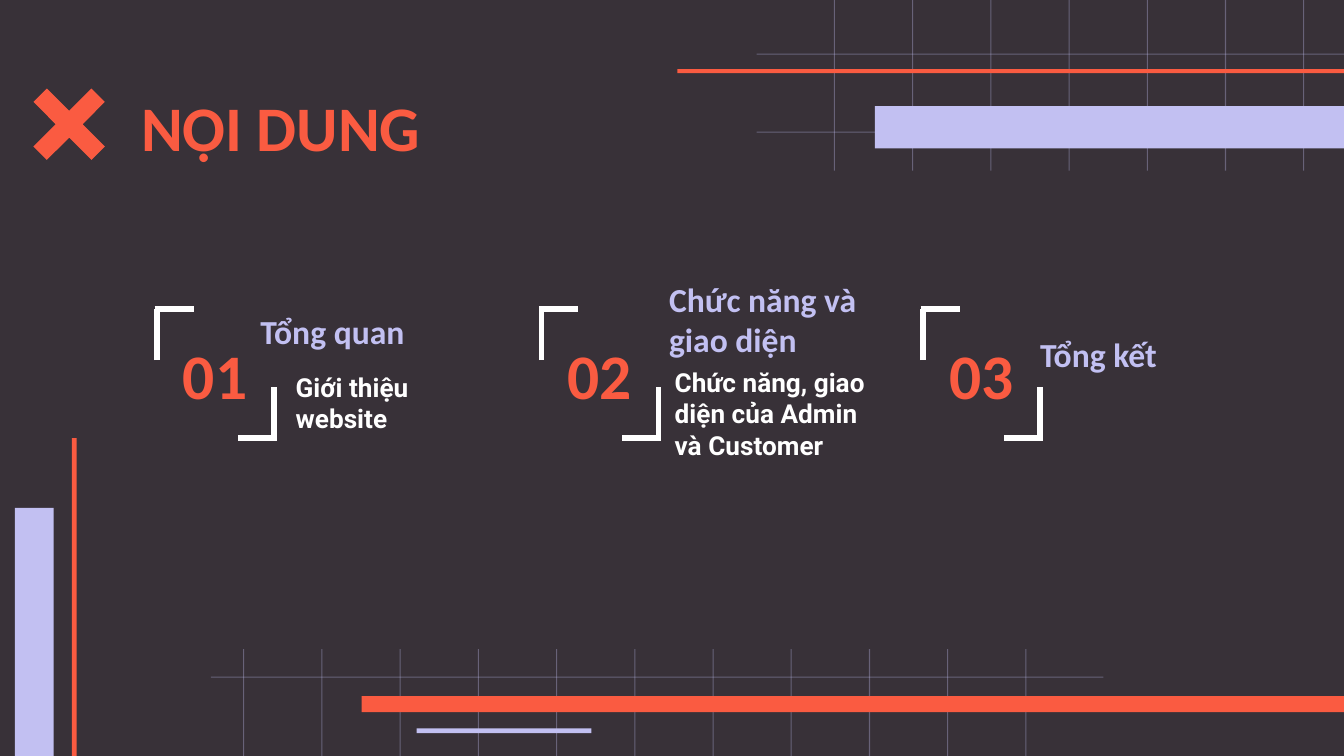
from lxml import etree
from pptx import Presentation
from pptx.dml.color import RGBColor
from pptx.enum.shapes import MSO_CONNECTOR, MSO_SHAPE
from pptx.enum.text import MSO_ANCHOR, MSO_AUTO_SIZE, PP_ALIGN
from pptx.oxml.ns import qn
from pptx.util import Inches, Pt

RECT = MSO_SHAPE.RECTANGLE
CROSS = MSO_SHAPE.MATH_MULTIPLY
STRAIGHT = MSO_CONNECTOR.STRAIGHT
MIDDLE = MSO_ANCHOR.MIDDLE
FIXED = MSO_AUTO_SIZE.NONE
LEFT, CENTER = PP_ALIGN.LEFT, PP_ALIGN.CENTER

DARK = RGBColor(0x38, 0x31, 0x38)
CORAL = RGBColor(0xFA, 0x5B, 0x41)
LILAC = RGBColor(0xC2, 0xC0, 0xF2)
WHITE = RGBColor(0xFF, 0xFF, 0xFF)

CELL = Inches(0.1)
COLS, ROWS = 100, 56.25
STEP = 5.82
HAIR = 0.08

BARS = [
    (26.9, 51.8, 73.1, 1.2, CORAL),
    (1.1, 37.8, 2.9, 18.45, LILAC),
    (5.35, 32.6, 0.35, 23.65, CORAL),
    (31, 54.2, 13, 0.35, LILAC),
    (65.1, 7.9, 34.9, 3.15, LILAC),
    (50.4, 5.15, 49.6, 0.3, CORAL),
]
TOPICS = [
    ("01", 11.7, "Tổng quan", 18.4, 22.5),
    ("02", 40.3, "Chức năng và giao diện", 48.8, 21.6),
    ("03", 68.7, "Tổng kết", 76.4, 24.2),
]
NOTES = [
    (1, "Giới thiệu website", 21, 27.3),
    (3, "Chức năng, giao diện của Admin và Customer", 49.2, 28.1),
]
CORNERS = [
    (0, 3.8, 0, 0),
    (-0.2, 0, 2.7, 0),
    (8.7, 5.8, 8.7, 9.6),
    (8.9, 9.6, 6, 9.6),
]


def grid(*cells):
    return [round(CELL * n) for n in cells]


def add_shape(slide, kind, x, y, w, h, color):
    shape = slide.shapes.add_shape(kind, *grid(x, y, w, h))
    shape.shadow.inherit = False
    shape.fill.solid()
    shape.fill.fore_color.rgb = color
    shape.line.fill.background()
    return shape


def add_hair(slide, x, y, w, h):
    shape = add_shape(slide, RECT, x, y, w, h, LILAC)
    tint = shape.fill._xPr.find(qn("a:solidFill"))[0]
    etree.SubElement(tint, qn("a:alpha")).set("val", "35000")


def add_mesh(slide, x, y, h, count, left, width, levels):
    for i in range(count):
        add_hair(slide, x + i * STEP, y, HAIR, h)
    for level in levels:
        add_hair(slide, left, level, width, HAIR)


def add_frame(slide, x, y):
    for x1, y1, x2, y2 in CORNERS:
        line = slide.shapes.add_connector(
            STRAIGHT, *grid(x + x1, y + y1, x + x2, y + y2))
        line.line.color.rgb = WHITE
        line.line.width = Pt(3)
        etree.SubElement(line._element.spPr, qn("a:effectLst"))


def set_text(shape, text, area, size, color, face="Calibri", align=LEFT):
    shape.left, shape.top, shape.width, shape.height = grid(*area)
    frame = shape.text_frame
    frame.text = text
    frame.word_wrap = True
    frame.auto_size = FIXED
    frame.vertical_anchor = MIDDLE
    frame.margin_left = frame.margin_right = CELL
    frame.margin_top = frame.margin_bottom = CELL
    para = frame.paragraphs[0]
    para.alignment = align
    para.space_before = Pt(0)
    font = para.runs[0].font
    font.name, font.size, font.bold = face, Pt(size), True
    font.color.rgb = color


def add_text(slide, *args, **style):
    set_text(slide.shapes.add_textbox(0, 0, CELL, CELL), *args, **style)


def main():
    deck = Presentation()
    deck.slide_width, deck.slide_height = grid(COLS, ROWS)
    slide = deck.slides.add_slide(deck.slide_layouts.get_by_name("Comparison"))
    slide.background.fill.solid()
    slide.background.fill.fore_color.rgb = DARK

    cross = add_shape(slide, CROSS, 1, 5.1, 8.3, 8.3, CORAL)
    cross.adjustments[0] = 0.17
    add_mesh(slide, 62.05, 0, 12.7, 7, 56.3, COLS - 56.3, (4, 9.8))
    add_mesh(slide, 18.1, 48.3, ROWS - 48.3, 11, 15.7, 66.4, (50.35,))
    for x, y, w, h, color in BARS:
        add_shape(slide, RECT, x, y, w, h, color)

    set_text(slide.shapes.title, "NỘI DUNG", (9.5, 5.9, 80.8, 6.9), 34, CORAL)
    for num, x, head, left, top in TOPICS:
        add_text(slide, head, (left, top, 17.6, 4.3), 18, LILAC)
        add_text(slide, num, (x - 0.1, 25.7, 8.8, 4.3), 34, CORAL, align=CENTER)
        add_frame(slide, x, 23)
    for key, text, x, y in NOTES:
        set_text(slide.placeholders[key], text, (x, y, 17.6, 5.3), 14, WHITE,
                 face="Roboto")
    for holder in list(slide.placeholders):
        if not holder.text_frame.text:
            holder.element.getparent().remove(holder.element)

    deck.save("out.pptx")


if __name__ == "__main__":
    main()
